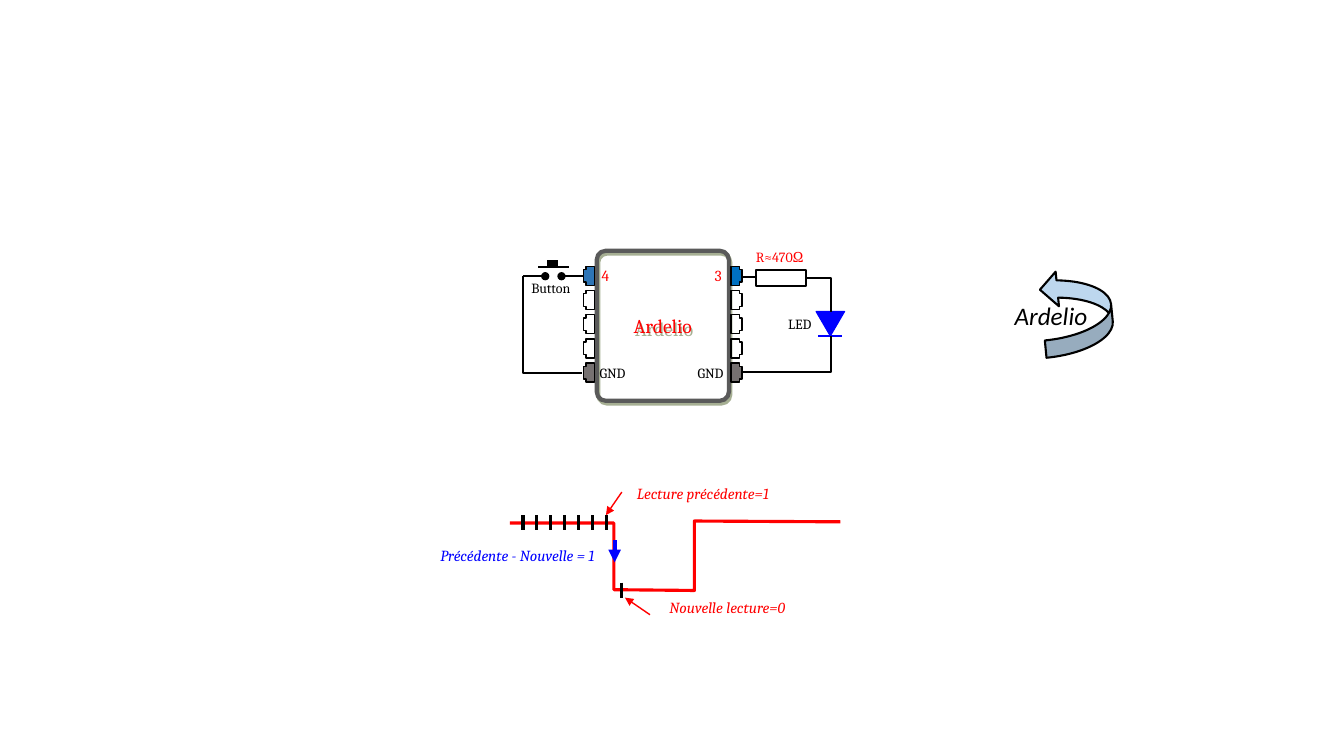
from dataclasses import dataclass

from lxml import etree
from pptx import Presentation
from pptx.dml.color import RGBColor
from pptx.enum.shapes import MSO_CONNECTOR as Connector, MSO_SHAPE as Preset
from pptx.enum.text import MSO_ANCHOR as Anchor, MSO_AUTO_SIZE as AutoSize, PP_ALIGN as Align
from pptx.oxml.ns import qn
from pptx.util import Cm, Pt


@dataclass(frozen=True)
class Theme:
    black: str = "000000"
    white: str = "FFFFFF"
    red: str = "FF0000"
    blue: str = "0000FF"
    chip_edge: str = "5A5A5A"
    chip_shadow: str = "4E6128"
    ground_pin: str = "767171"
    input_pin: str = "2E75B6"
    output_pin: str = "0070C0"
    loop_arrow: str = "BDD7EE"
    serif: str = "Cambria"
    sans: str = "Calibri"
    small: int = 10
    note: int = 11
    chip_name: int = 14
    caption: int = 18
    thin: float = 1
    wire: float = 1.5
    signal: float = 2.25
    heavy: float = 3
    button_cap: float = 4.5


class Diagram:
    def __init__(self, slide, theme):
        self.shapes = slide.shapes
        self.theme = theme

    def paint(self, shape, fill, color, width):
        shape.shadow.inherit = False
        if fill:
            shape.fill.solid()
            shape.fill.fore_color.rgb = RGBColor.from_string(fill)
        else:
            shape.fill.background()
        self.stroke(shape, color, width)
        return shape

    def stroke(self, shape, color, width):
        shape.line.color.rgb = RGBColor.from_string(color)
        shape.line.width = Pt(width)

    def line(self, start, end, color=None, width=None, tail=None):
        line = self.shapes.add_connector(Connector.STRAIGHT, *map(Cm, start + end))
        self.stroke(line, color or self.theme.black, width or self.theme.wire)
        etree.SubElement(line._element.spPr, qn("a:effectLst"))
        if tail:
            outline = line._element.spPr.find(qn("a:ln"))
            etree.SubElement(outline, qn("a:tailEnd"), type=tail)

    def preset(self, kind, box, fill=None, color=None, width=None, rotation=0):
        shape = self.shapes.add_shape(kind, *map(Cm, box))
        shape.rotation = rotation
        return self.paint(shape, fill, color or self.theme.black, width or self.theme.wire)

    def outline(self, points, fill=None, color=None, width=None, close=False):
        corners = [(Cm(x), Cm(y)) for x, y in points]
        builder = self.shapes.build_freeform(*corners[0])
        builder.add_line_segments(corners[1:], close=close)
        shape = builder.convert_to_shape()
        self.paint(shape, fill, color or self.theme.black, width or self.theme.wire)

    def set_text(self, frame, text, size, color, font=None, italic=False, align=Align.LEFT):
        paragraph = frame.paragraphs[0]
        paragraph.text = text
        paragraph.alignment = align
        paragraph.font.name = font or self.theme.serif
        paragraph.font.size = Pt(size)
        paragraph.font.italic = italic
        paragraph.font.color.rgb = RGBColor.from_string(color)

    def label(self, text, box, size, color, wrap=True, anchor=Anchor.TOP, inset=0, **style):
        frame = self.shapes.add_textbox(*map(Cm, box)).text_frame
        frame.margin_left = frame.margin_right = Cm(inset)
        frame.margin_top = frame.margin_bottom = Cm(inset / 2)
        frame.word_wrap = wrap
        frame.auto_size = AutoSize.NONE if wrap else AutoSize.SHAPE_TO_FIT_TEXT
        frame.vertical_anchor = anchor
        self.set_text(frame, text, size, color, **style)

    def chip(self, name, box):
        theme = self.theme
        chip = self.preset(Preset.ROUNDED_RECTANGLE, box, None, theme.chip_edge, theme.heavy)
        chip.adjustments[0] = 0.068
        chip.text_frame.vertical_anchor = Anchor.MIDDLE
        self.set_text(chip.text_frame, name, theme.chip_name, theme.red, align=Align.CENTER)
        effects = chip._element.spPr.find(qn("a:effectLst"))
        shadow = etree.SubElement(effects, qn("a:outerShdw"), dist=str(Pt(2.2)),
                                  dir=str(63 * 60000), algn="ctr", rotWithShape="0")
        color = etree.SubElement(shadow, qn("a:srgbClr"), val=theme.chip_shadow)
        etree.SubElement(color, qn("a:alpha"), val="50000")

    def pin(self, base, top, direction, fill):
        profile = [(0, 0), (0.22, 0), (0.22, 0.08), (0.28, 0.08),
                   (0.28, 0.4), (0.22, 0.4), (0.22, 0.48), (0, 0.48)]
        points = [(base + direction * x, top + y) for x, y in profile]
        self.outline(points, fill, width=self.theme.thin, close=True)


def draw_circuit(diagram):
    theme = diagram.theme

    # LED
    diagram.line((20.62, 8.46), (21.23, 8.46), theme.blue)
    diagram.preset(Preset.ISOSCELES_TRIANGLE, (20.57, 7.85, 0.71, 0.61),
                   theme.blue, theme.blue, theme.thin, rotation=180)

    # Chip and its two rows of pins
    diagram.chip("Ardelio", (15.04, 6.32, 3.33, 3.78))
    for base, direction, top_fill in ((14.99, -1, theme.input_pin), (18.42, 1, theme.output_pin)):
        for row, fill in enumerate((top_fill, None, None, None, theme.ground_pin)):
            diagram.pin(base, 6.71 + 0.61 * row, direction, fill)

    # Resistor and wires
    diagram.line((19.1, 6.99), (18.69, 6.99))
    diagram.preset(Preset.RECTANGLE, (19.05, 6.81, 1.27, 0.41), theme.white)
    for wire in (
        [(20.32, 7.01), (20.94, 7.01), (20.94, 7.87)],
        [(18.69, 9.37), (20.94, 9.37), (20.94, 8.46)],
        [(13.18, 6.96), (13.18, 9.4), (14.68, 9.4)],
    ):
        diagram.outline(wire)

    # Push button
    diagram.line((14.71, 6.96), (14.15, 6.96), tail="oval")
    diagram.line((13.18, 6.96), (13.74, 6.96), tail="oval")
    diagram.line((13.56, 6.72), (14.33, 6.72))
    diagram.line((13.79, 6.63), (14.07, 6.63), width=theme.button_cap)

    # Pin numbers and component names
    for number, left in (("3", 18.01), ("4", 15.16)):
        diagram.label(number, (left, 6.71, 0.48, 0.56), theme.note, theme.red)
    diagram.label("R≈470Ω", (19.05, 6.25, 1.24, 0.43), theme.small, theme.red, wrap=False)
    for name, left, top, width in (
        ("GND", 17.58, 9.17, 0.69),
        ("GND", 15.11, 9.17, 0.69),
        ("Button", 13.39, 7.04, 1.04),
        ("LED", 19.86, 7.95, 0.64),
    ):
        diagram.label(name, (left, top, width, 0.43), theme.small, theme.black,
                      wrap=False, anchor=Anchor.MIDDLE)


def draw_signal(diagram):
    theme = diagram.theme

    # Notes
    for text, left, top, width, color in (
        ("Lecture précédente=1", 16.05, 12.19, 3.81, theme.red),
        ("Précédente - Nouvelle = 1", 11.1, 13.77, 4.37, theme.blue),
        ("Nouvelle lecture=0", 16.87, 15.06, 3.15, theme.red),
    ):
        diagram.label(text, (left, top, width, 0.56), theme.note, color, italic=True)

    # Level curve and reading ticks
    diagram.outline([(12.85, 13.18), (15.47, 13.18), (15.47, 14.86), (17.5, 14.88),
                     (17.5, 13.13), (21.18, 13.15)], color=theme.red, width=theme.signal)
    ticks = [(13.18 + 0.35 * index, 12.98) for index in range(7)] + [(15.67, 14.68)]
    for x, y in ticks:
        diagram.line((x, y), (x, y + 0.38), width=theme.signal)

    # Arrows
    diagram.line((15.49, 13.61), (15.49, 14.17), theme.blue, theme.heavy, "triangle")
    diagram.line((15.67, 12.4), (15.27, 12.98), theme.red, theme.thin, "triangle")
    diagram.line((16.38, 15.49), (15.75, 15.06), theme.red, theme.thin, "triangle")


def draw_loop(diagram):
    theme = diagram.theme
    diagram.preset(Preset.CURVED_UP_ARROW, (26.06, 6.98, 2.16, 1.75),
                   theme.loop_arrow, rotation=264.5)
    diagram.label("Ardelio", (25.32, 7.44, 2.59, 1.02), theme.caption, theme.black,
                  wrap=False, inset=0.25, font=theme.sans, italic=True)


def main():
    presentation = Presentation()
    presentation.slide_width = Cm(33.87)
    presentation.slide_height = Cm(19.05)
    slide = presentation.slides.add_slide(presentation.slide_layouts[6])
    diagram = Diagram(slide, Theme())
    draw_circuit(diagram)
    draw_signal(diagram)
    draw_loop(diagram)
    presentation.save("out.pptx")


if __name__ == "__main__":
    main()
